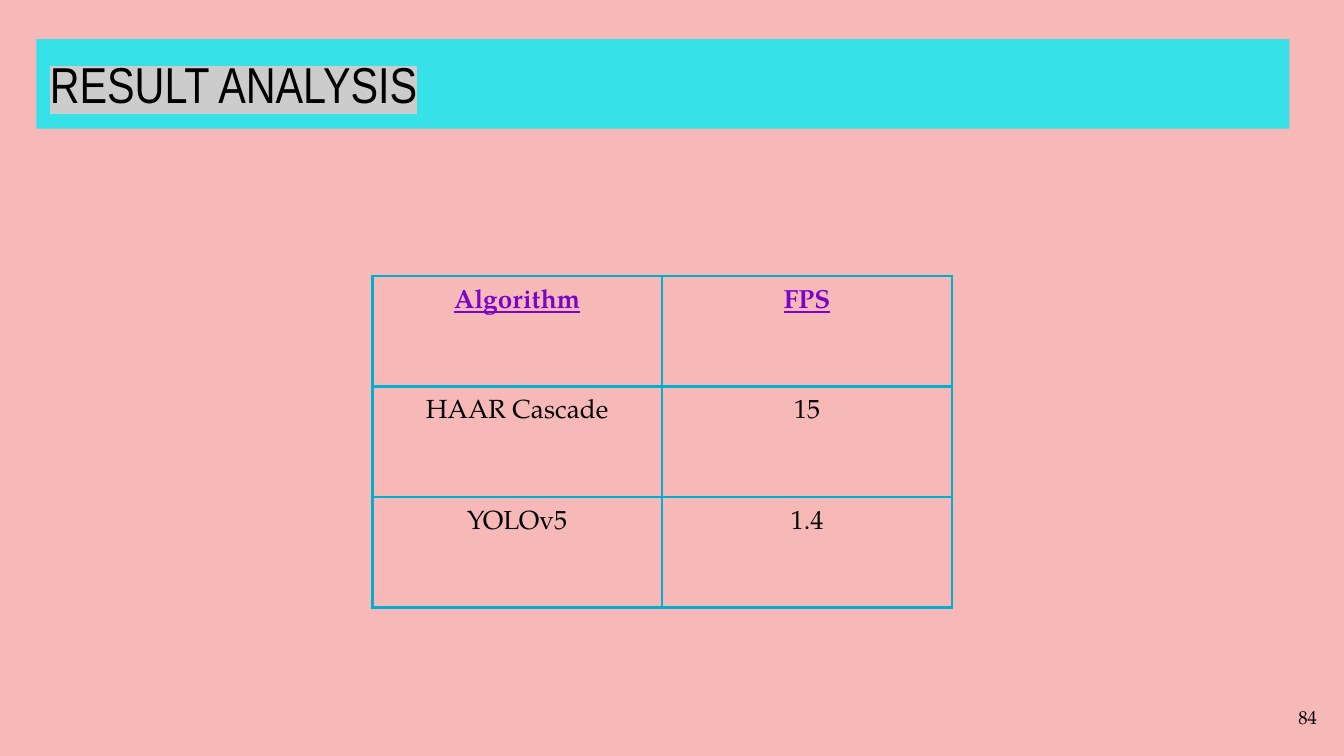
from lxml.etree import SubElement
from pptx import Presentation
from pptx.dml.color import RGBColor
from pptx.enum.text import MSO_ANCHOR, MSO_AUTO_SIZE, PP_ALIGN
from pptx.oxml.ns import qn
from pptx.util import Pt

PX = 9525
SERIF = "TeX Gyre Pagella"
TITLE = dict(name="Arial Narrow", size=Pt(27), bold=False)
NUMBER = dict(name=SERIF, size=Pt(10))
BODY = dict(name=SERIF, size=Pt(14), bold=False, underline=False)
HEADING = dict(BODY, bold=True, underline=True)
MARGINS = dict.fromkeys(
    ("margin_left", "margin_top", "margin_right", "margin_bottom"), Pt(7.2))
RESULTS = [("Algorithm", "FPS"), ("HAAR Cascade", "15"), ("YOLOv5", "1.4")]


def emu(box):
    """Turn px lengths into EMU."""
    return [length * PX for length in box]


def paint(color_format, color):
    """Set a colour from a hex string."""
    color_format.rgb = RGBColor.from_string(color)


def assign(target, values):
    """Set attributes from a dict of format values."""
    for key, value in values.items():
        setattr(target, key, value)


def write(frame, text, style, color, align):
    """Write one formatted paragraph and return its run."""
    paragraph = frame.paragraphs[0]
    paragraph.alignment = align
    run = paragraph.add_run()
    run.text = text
    paint(run.font.color, color)
    assign(run.font, style)
    return run


def highlight(run, color):
    """Put a highlight colour behind a run."""
    properties = run._r.get_or_add_rPr()
    mark = SubElement(properties, qn("a:highlight"))
    SubElement(mark, qn("a:srgbClr"), val=color)
    properties.find(qn("a:solidFill")).addnext(mark)


def add_title(slide, box, text):
    """Format the title placeholder as a full-width band."""
    title = slide.shapes.title
    title.left, title.top, title.width, title.height = emu(box)
    title.fill.solid()
    paint(title.fill.fore_color, "36E1E8")
    assign(title.text_frame, dict(
        MARGINS, word_wrap=True, auto_size=MSO_AUTO_SIZE.NONE,
        vertical_anchor=MSO_ANCHOR.TOP))
    run = write(title.text_frame, text, TITLE, "000000", PP_ALIGN.LEFT)
    highlight(run, "CCCCCC")


def add_page_number(slide, box, number):
    """Place the page number at the right of its box."""
    frame = slide.shapes.add_textbox(*emu(box)).text_frame
    assign(frame, dict(
        MARGINS, word_wrap=True, vertical_anchor=MSO_ANCHOR.MIDDLE))
    write(frame, number, NUMBER, "000000", PP_ALIGN.RIGHT)


def outline(cell, color, width):
    """Draw all four borders of a cell ahead of its fill."""
    properties = cell._tc.get_or_add_tcPr()
    for index, side in enumerate(("lnL", "lnR", "lnT", "lnB")):
        line = SubElement(properties, qn(f"a:{side}"), w=str(width))
        fill = SubElement(line, qn("a:solidFill"))
        SubElement(fill, qn("a:srgbClr"), val=color)
        properties.insert(index, line)


def add_results(slide, box, rows):
    """Fill an evenly divided table whose first row is the heading."""
    table = slide.shapes.add_table(len(rows), len(rows[0]), *emu(box)).table
    assign(table, dict(first_row=False, horz_banding=False))
    for row, values in enumerate(rows):
        style, color = (BODY, "000000") if row else (HEADING, "7A04C9")
        for column, value in enumerate(values):
            cell = table.cell(row, column)
            cell.fill.background()
            assign(cell, dict(MARGINS, vertical_anchor=MSO_ANCHOR.TOP))
            outline(cell, "01AFD1", Pt(1.5))
            write(cell.text_frame, value, style, color, PP_ALIGN.CENTER)


def main():
    """Build the result analysis slide."""
    deck = Presentation()
    deck.slide_width, deck.slide_height = emu((960, 540))
    slide = deck.slides.add_slide(deck.slide_layouts[5])
    slide.background.fill.solid()
    paint(slide.background.fill.fore_color, "F7B8B8")
    add_title(slide, (26, 28, 895, 64), "RESULT ANALYSIS")
    add_page_number(slide, (892, 492, 58, 41), "84")
    add_results(slide, (266, 197, 414, 237), RESULTS)
    deck.save("out.pptx")


if __name__ == "__main__":
    main()
